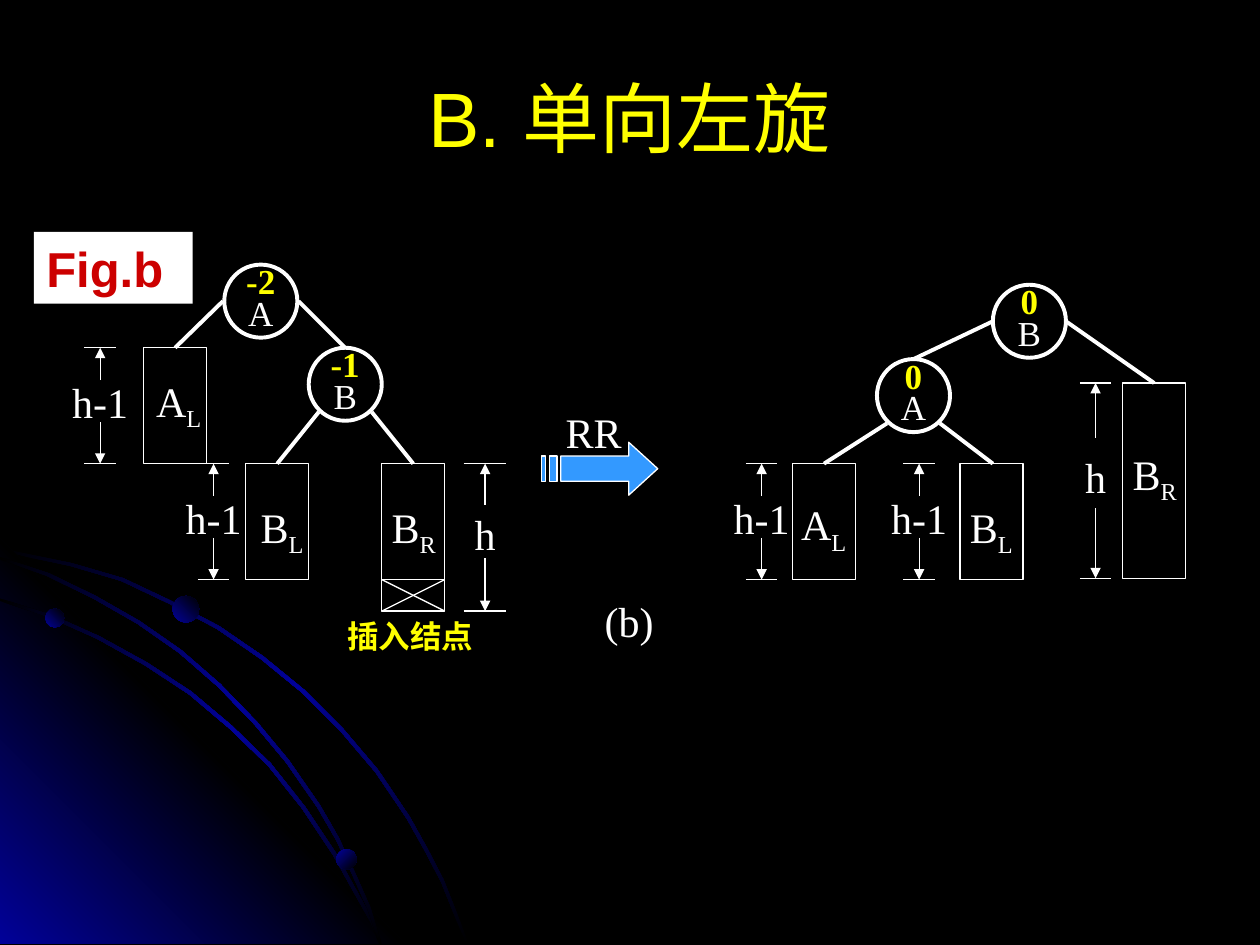
import dataclasses

import pptx
import pptx.dml.color
import pptx.enum.shapes
import pptx.enum.text
import pptx.oxml
import pptx.oxml.ns
import pptx.util

Inches = pptx.util.Inches
Shapes = pptx.enum.shapes.MSO_SHAPE
Align = pptx.enum.text.PP_ALIGN
Anchor = pptx.enum.text.MSO_ANCHOR


@dataclasses.dataclass(frozen=True)
class Theme:
    black: str = "000000"
    white: str = "FFFFFF"
    yellow: str = "FFFF00"
    red: str = "CC0000"
    blue: str = "3399FF"
    navy: str = "010199"
    serif: str = "Times New Roman"
    sans: str = "Arial"
    title: float = 44
    caption: float = 28
    label: float = 24
    node: float = 20
    note: float = 18
    thin: float = 0.75
    thick: float = 2.25


@dataclasses.dataclass(frozen=True)
class Box:
    left: float
    top: float
    width: float
    height: float

    def inner(self, x, y, width=0, height=0):
        return Box(self.left + x, self.top + y, width, height)

    def lengths(self):
        return [Inches(value) for value in (self.left, self.top, self.width, self.height)]


THEME = Theme()
NODE_SIZE = 0.58
SUBTREE_WIDTH = 0.5
SUBTREE_HEIGHT = 0.92
INSERTED_HEIGHT = 0.25


def rgb(color):
    return pptx.dml.color.RGBColor.from_string(color)


def write(paragraph, text, *, size=THEME.label, color=THEME.white, font=THEME.serif,
          bold=False, align=Align.LEFT, spacing=None, subscript=False):
    paragraph.alignment = align
    if spacing:
        paragraph.line_spacing = spacing
    run = paragraph.add_run()
    run.text = text
    run.font.size = pptx.util.Pt(size)
    run.font.name = font
    run.font.bold = bold
    run.font.color.rgb = rgb(color)
    if subscript:
        run.font._element.set("baseline", "-25000")


def add_label(slide, box, text, *, subscript="", wrap=False, anchor=Anchor.TOP, **style):
    frame = slide.shapes.add_textbox(*box.lengths()).text_frame
    frame.word_wrap = wrap
    frame.vertical_anchor = anchor
    write(frame.paragraphs[0], text, **style)
    if subscript:
        write(frame.paragraphs[0], subscript, subscript=True, **style)


def finish(shape, fill=None, line=None, width=THEME.thin):
    shape.shadow.inherit = False
    if fill:
        shape.fill.solid()
        shape.fill.fore_color.rgb = rgb(fill)
    else:
        shape.fill.background()
    if line:
        shape.line.color.rgb = rgb(line)
        shape.line.width = pptx.util.Pt(width)
    else:
        shape.line.fill.background()
    return shape


def fill_gradient(shape, colors, angle):
    finish(shape).fill.gradient()
    gradient = shape._element.spPr.find(pptx.oxml.ns.qn("a:gradFill"))
    last = len(colors) - 1
    stops = "".join(
        f'<a:gs pos="{100000 * index // last}"><a:srgbClr val="{color}"/></a:gs>'
        for index, color in enumerate(colors))
    new_gradient = pptx.oxml.parse_xml(
        f'<a:gradFill {pptx.oxml.ns.nsdecls("a")} rotWithShape="1"><a:gsLst>{stops}</a:gsLst>'
        f'<a:lin ang="{angle * 60000}" scaled="0"/></a:gradFill>')
    gradient.getparent().replace(gradient, new_gradient)


def add_outline(slide, box, *contours):
    contours = [[(Inches(box.left + x), Inches(box.top + y)) for x, y in contour]
                for contour in contours]
    builder = slide.shapes.build_freeform(*contours[0][0])
    builder.add_line_segments(contours[0][1:], close=True)
    for contour in contours[1:]:
        builder.move_to(*contour[0])
        builder.add_line_segments(contour[1:], close=True)
    return builder.convert_to_shape()


def add_line(slide, box, start, end, width=THEME.thin, arrow=False):
    points = [Inches(value) for x, y in (start, end) for value in (box.left + x, box.top + y)]
    line = slide.shapes.add_connector(pptx.enum.shapes.MSO_CONNECTOR.STRAIGHT, *points)
    line.line.color.rgb = rgb(THEME.white)
    line.line.width = pptx.util.Pt(width)
    properties = line._element.spPr
    if arrow:
        outline = properties.find(pptx.oxml.ns.qn("a:ln"))
        outline.append(pptx.oxml.parse_xml(
            f'<a:tailEnd {pptx.oxml.ns.nsdecls("a")} type="triangle"/>'))
    properties.append(pptx.oxml.parse_xml(f'<a:effectLst {pptx.oxml.ns.nsdecls("a")}/>'))


def add_node(slide, box, balance, name):
    node = finish(slide.shapes.add_shape(Shapes.OVAL, *box.lengths()),
                  line=THEME.white, width=THEME.thick)
    frame = node.text_frame
    frame.word_wrap = False
    frame.vertical_anchor = Anchor.MIDDLE
    style = dict(size=THEME.node, align=Align.CENTER, spacing=0.75)
    write(frame.paragraphs[0], balance, color=THEME.yellow, bold=True, **style)
    write(frame.add_paragraph(), name, **style)


def add_subtree(slide, box, name, side, label_x, label_y):
    finish(slide.shapes.add_shape(Shapes.RECTANGLE, *box.lengths()), line=THEME.white)
    add_label(slide, box.inner(label_x, label_y, 0.57, 0.5), name, subscript=side)


def add_dimension(slide, box, text):
    middle, bottom = box.width / 2, box.height
    for y in (0, bottom):
        add_line(slide, box, (0, y), (box.width, y))
    add_line(slide, box, (middle, bottom * 0.28), (middle, 0), arrow=True)
    add_line(slide, box, (middle, bottom * 0.64), (middle, bottom), arrow=True)
    add_label(slide, box.inner(middle - 0.33, bottom / 2 - 0.28, 0.66, 0.5), text,
              align=Align.CENTER)


def add_tree(slide, box, nodes, edges, subtrees, dimensions):
    for x, y, balance, name in nodes:
        add_node(slide, box.inner(x, y, NODE_SIZE, NODE_SIZE), balance, name)
    for start, end in edges:
        add_line(slide, box, start, end, THEME.thick)
    for x, y, height, *label in subtrees:
        add_subtree(slide, box.inner(x, y, SUBTREE_WIDTH, height), *label)
    for x, y, width, height, text in dimensions:
        add_dimension(slide, box.inner(x, y, width, height), text)


def add_inserted_node(slide, box):
    right, bottom = box.width, box.height
    for start, end in (((0, 0), (right, 0)), ((0, 0), (right, bottom)), ((0, bottom), (right, 0))):
        add_line(slide, box, start, end)
    add_label(slide, box.inner(-0.37, bottom, 1.2, 0.4), "插入结点",
              size=THEME.note, color=THEME.yellow, bold=True)


def add_rotation(slide, box):
    arrow = [(0.69, 0), (0.69, 0.11), (0.15, 0.11), (0.15, 0.31),
             (0.69, 0.31), (0.69, 0.42), (0.92, 0.21)]
    stripes = [[(left, 0.11), (left, 0.31), (right, 0.31), (right, 0.11)]
               for left, right in ((0.06, 0.12), (0, 0.03))]
    finish(add_outline(slide, box, arrow, *stripes), THEME.blue, THEME.white)
    add_label(slide, box.inner(0.09, -0.33, 0.65, 0.5), "RR")
    add_label(slide, box.inner(0.4, 1.17, 0.59, 0.5), "(b)")


def add_decoration(slide, box):
    black, navy = THEME.black, THEME.navy
    outer = [(0, 0.35), (0.28, 0.41), (0.57, 0.47), (0.98, 0.59), (1.36, 0.77), (1.74, 0.97),
             (2.09, 1.21), (2.42, 1.48), (2.72, 1.78), (3, 2.11), (3.25, 2.48), (3.39, 2.73),
             (3.52, 2.98), (3.62, 3.23), (3.72, 3.49)]
    inner = [(0, 0.75), (0.41, 0.88), (0.79, 1.05), (1.17, 1.26), (1.52, 1.49), (1.84, 1.76),
             (2.15, 2.06), (2.42, 2.4), (2.66, 2.76), (2.86, 3.12), (2.96, 3.3), (3.03, 3.49)]
    center = [(0, 0.42), (0.39, 0.55), (0.76, 0.73), (1.11, 0.93), (1.44, 1.16), (1.75, 1.43),
              (2.04, 1.73), (2.29, 2.03), (2.54, 2.39), (2.69, 2.65), (2.82, 2.93),
              (2.94, 3.2), (3.03, 3.49)]
    corner = [(0, 0.27), (3.22, 3.49), (0, 3.49)]
    for edge in (outer, corner, inner, center):
        if edge is corner:
            fill_gradient(add_outline(slide, box, corner), (navy, black, navy), 315)
            continue
        lower = [(max(x - 0.02, 0), min(y + 0.02, 3.49)) for x, y in reversed(edge)]
        fill_gradient(add_outline(slide, box, edge + lower), (black, navy, black), 45)
    for x, y, size, angle in ((0.36, 0.83, 0.15, 315), (2.67, 2.74, 0.16, 45),
                              (1.37, 0.73, 0.21, 315)):
        dot = slide.shapes.add_shape(Shapes.OVAL, *box.inner(x, y, size, size).lengths())
        fill_gradient(dot, (navy, black), angle)


def add_caption(slide, box):
    caption = finish(slide.shapes.add_shape(Shapes.RECTANGLE, *box.lengths()), THEME.white)
    caption.text_frame.vertical_anchor = Anchor.TOP
    write(caption.text_frame.paragraphs[0], "Fig.b", size=THEME.caption, color=THEME.red,
          font=THEME.sans, bold=True)


def main():
    presentation = pptx.Presentation()
    presentation.slide_width, presentation.slide_height = Inches(10), Inches(7.5)
    slide = presentation.slides.add_slide(presentation.slide_layouts[6])
    slide.background.fill.solid()
    slide.background.fill.fore_color.rgb = rgb(THEME.black)

    add_decoration(slide, Box(0, 4, 3.72, 3.5))
    before = Box(0, 2, 4.1, 3.3)
    add_tree(
        slide, before,
        nodes=[(1.78, 0.1, "-2", "A"), (2.45, 0.76, "-1", "B")],
        edges=[((2.37, 0.39), (2.74, 0.76)), ((1.77, 0.39), (1.39, 0.76)),
               ((2.95, 1.27), (3.28, 1.68)), ((2.53, 1.27), (2.2, 1.68))],
        subtrees=[(1.14, 0.76, SUBTREE_HEIGHT, "A", "L", 0, 0.17),
                  (1.95, 1.68, SUBTREE_HEIGHT, "B", "L", 0.02, 0.25),
                  (3.03, 1.68, SUBTREE_HEIGHT + INSERTED_HEIGHT, "B", "R", -0.02, 0.25)],
        dimensions=[(0.67, 0.76, 0.25, SUBTREE_HEIGHT, "h-1"),
                    (1.57, 1.68, 0.25, SUBTREE_HEIGHT, "h-1"),
                    (3.68, 1.68, 0.34, SUBTREE_HEIGHT + INSERTED_HEIGHT, "h")])
    add_inserted_node(slide, before.inner(3.03, 2.6, SUBTREE_WIDTH, INSERTED_HEIGHT))
    add_tree(
        slide, Box(5, 2, 4.5, 2.6),
        nodes=[(1.96, 0.85, "0", "A"), (2.88, 0.26, "0", "B")],
        edges=[((3.46, 0.55), (4.16, 1.04)), ((2.88, 0.55), (2.25, 0.85)),
               ((2.46, 1.36), (2.88, 1.68)), ((2.04, 1.36), (1.54, 1.68))],
        subtrees=[(1.29, 1.68, SUBTREE_HEIGHT, "A", "L", -0.03, 0.23),
                  (2.62, 1.68, SUBTREE_HEIGHT, "B", "L", -0.02, 0.25),
                  (3.91, 1.04, 1.55, "B", "R", -0.02, 0.47)],
        dimensions=[(0.92, 1.68, 0.25, SUBTREE_HEIGHT, "h-1"),
                    (2.17, 1.68, 0.25, SUBTREE_HEIGHT, "h-1"),
                    (3.57, 1.04, 0.25, 1.55, "h")])
    add_rotation(slide, Box(4.3, 3.51, 0.92, 0.42))
    add_caption(slide, Box(0.27, 1.84, 1.26, 0.57))
    add_label(slide, Box(0.5, 0.3, 9, 1.25), "B. 单向左旋", wrap=True, anchor=Anchor.MIDDLE,
              size=THEME.title, color=THEME.yellow, font=THEME.sans, align=Align.CENTER)
    presentation.save("out.pptx")


if __name__ == "__main__":
    main()
